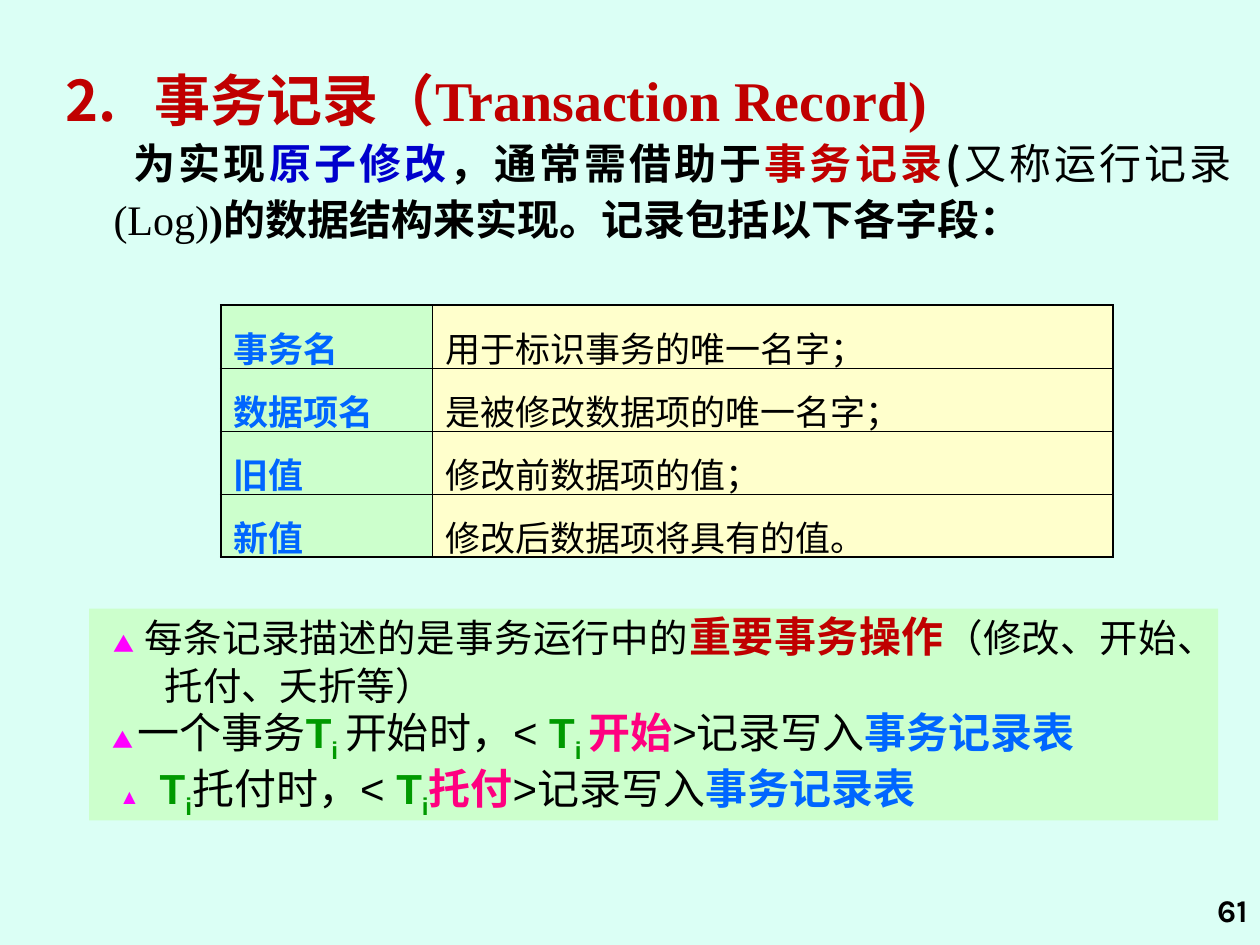
from lxml import etree
from pptx import Presentation
from pptx.dml.color import RGBColor
from pptx.enum.shapes import MSO_SHAPE
from pptx.enum.text import MSO_ANCHOR, PP_ALIGN
from pptx.oxml.ns import qn
from pptx.util import Cm, Pt

RECT = MSO_SHAPE.RECTANGLE
TOP, BOTTOM = MSO_ANCHOR.TOP, MSO_ANCHOR.BOTTOM
LEFT, RIGHT, JUST = PP_ALIGN.LEFT, PP_ALIGN.RIGHT, PP_ALIGN.JUSTIFY
SANS, SERIF, ARIAL, KARLA = "Noto Sans CJK SC", "Times New Roman", "Arial", "Karla"
HUES = {
    "page": "DBFFF5", "black": "000000", "red": "C00000", "navy": "0000CC",
    "blue": "0066FF", "mint": "CCFFCC", "cream": "FFFFCC", "green": "009900",
    "pink": "FF0080", "mauve": "FF00FF",
}


class Deck:
    """Holds the style and the current slide."""

    def __init__(self):
        self.show = Presentation()
        self.show.slide_width, self.show.slide_height = Cm(25.4), Cm(19.05)
        self.slide = self.show.slides.add_slide(self.show.slide_layouts[6])
        self.paint(self.slide.background.fill, "page")

    def paint(self, fill, hue):
        fill.solid()
        fill.fore_color.rgb = RGBColor.from_string(HUES[hue])

    def style(self, font, size=None, hue=None, bold=None, face=None, base=None):
        if size:
            font.size = Pt(size)
        if bold is not None:
            font.bold = bold
        if hue:
            self.paint(font.fill, hue)
        if face:
            font.name = face
            etree.SubElement(font._rPr, qn("a:ea"), typeface=SANS)
        if base:
            font._rPr.set("baseline", str(base * 1000))

    def para(self, frame, runs, look, space=1.0, align=LEFT, left=0, first=0):
        par = frame.paragraphs[0]
        if par.runs:
            par = frame.add_paragraph()
        par.alignment, par.line_spacing = align, space
        props = par._p.get_or_add_pPr()
        props.set("marL", str(Cm(left)))
        props.set("indent", str(Cm(first)))
        self.style(par.font, **look)
        for text, diff in runs:
            run = par.add_run()
            run.text = text
            self.style(run.font, **diff)

    def frame(self, shape, pads, anchor=TOP):
        frame = shape.text_frame
        frame.word_wrap, frame.vertical_anchor = True, anchor
        side, top = pads
        frame.margin_left = frame.margin_right = Cm(side)
        frame.margin_top = frame.margin_bottom = Cm(top)
        return frame

    def text(self, x, y, w, h, pads=(0.05, 0), anchor=TOP):
        box = self.slide.shapes.add_textbox(Cm(x), Cm(y), Cm(w), Cm(h))
        return self.frame(box, pads, anchor)

    def panel(self, x, y, w, h, hue):
        box = self.slide.shapes.add_shape(RECT, Cm(x), Cm(y), Cm(w), Cm(h))
        box.shadow.inherit = False
        self.paint(box.fill, hue)
        box.line.fill.background()
        return self.frame(box, (0.05, 0.1))

    def edge(self, cell, side, width):
        props = cell._tc.get_or_add_tcPr()
        line = etree.SubElement(props, qn("a:ln" + side), w=str(Pt(width)))
        fill = etree.SubElement(line, qn("a:solidFill"))
        etree.SubElement(fill, qn("a:srgbClr"), val=HUES["black"])

    def table(self, x, y, widths, height, rows, looks, fills):
        deep, wide = len(rows), len(widths)
        grid = self.slide.shapes.add_table(
            deep, wide, Cm(x), Cm(y), Cm(sum(widths)), Cm(height * deep)).table
        grid.first_row = grid.horz_banding = False
        for col, width in zip(grid.columns, widths):
            col.width = Cm(width)
        for i, row in enumerate(rows):
            for j, text in enumerate(row):
                cell = grid.cell(i, j)
                outer = {"L": j == 0, "R": j == wide - 1, "T": i == 0, "B": i == deep - 1}
                for side, rim in outer.items():
                    self.edge(cell, side, 1.08 if rim else 0.45)
                self.paint(cell.fill, fills[j])
                self.para(cell.text_frame, [(text, {})], looks[j], 1.2)


def look(size, hue, bold, face):
    return {"size": size, "hue": hue, "bold": bold, "face": face}


def main():
    deck = Deck()
    body = deck.text(1.27, 1.32, 23.6, 4.32)
    deck.para(body, [("2.\t事务记录", {"face": SANS}),
                     ("（Transaction Record)", {"face": SERIF})],
              {"size": 32, "hue": "red", "bold": True}, left=1.8, first=-1.8)
    deck.para(body, [
        ("为实现", {}), ("原子修改", {"hue": "navy"}), ("，通常需借助于", {}),
        ("事务记录", {"hue": "red"}), ("(", {}), ("又称运行记录", {"bold": False}),
        ("(Log)", {"bold": False, "face": SERIF}), (")", {"face": SERIF}),
        ("的数据结构来实现。记录包括以下各字段：", {}),
    ], look(24, "black", True, SANS), 1.1, JUST, 0.97, 0.41)

    deck.table(4.45, 6.15, (4.27, 13.72), 1.27, (
        ("事务名", "用于标识事务的唯一名字；"),
        ("数据项名", "是被修改数据项的唯一名字；"),
        ("旧值", "修改前数据项的值；"),
        ("新值", "修改后数据项将具有的值。"),
    ), (look(20, "blue", True, SANS), look(20, "black", False, SANS)), ("mint", "cream"))

    note = deck.panel(1.8, 12.27, 22.76, 4.27, "mint")
    mark = look(12, "mauve", True, SERIF)
    sub = {"hue": "green", "bold": True, "base": -25}
    term = {"hue": "green", "bold": True}
    verb = {"hue": "pink", "bold": True, "face": SANS}
    log = [(">记录写入", {}), ("事务记录表", {"hue": "blue", "bold": True})]
    plain = look(24, "black", False, ARIAL)
    deck.para(note, [
        ("▲", mark), (" ", {"size": 24}), ("每条记录描述的是事务运行中的", {}),
        ("重要事务操作", look(24, "red", True, SANS)), ("（修改、开始、托付、夭折等）", {}),
    ], look(22, "black", False, SERIF), Pt(27), JUST, 1.47, -1.04)
    deck.para(note, [
        ("▲ ", mark), ("一个事务", {}), ("T", term), ("i ", sub), ("开始时，< ", {}),
        ("T", term), ("i ", sub), ("开始", verb), *log,
    ], plain, Pt(32), left=1.47, first=-1.06)
    deck.para(note, [
        ("▲", mark), ("\t", {}), ("T", term), ("i", sub), ("托付时，< ", {}),
        ("T", term), ("i", sub), ("托付", verb), *log,
    ], plain, Pt(32), left=1.37, first=-0.82)

    page = deck.text(22.86, 17.58, 2.54, 1.27, (0.25, 0.13), BOTTOM)
    deck.para(page, [("61", {})], look(18, "black", True, KARLA), align=RIGHT)
    deck.show.save("out.pptx")


if __name__ == "__main__":
    main()
